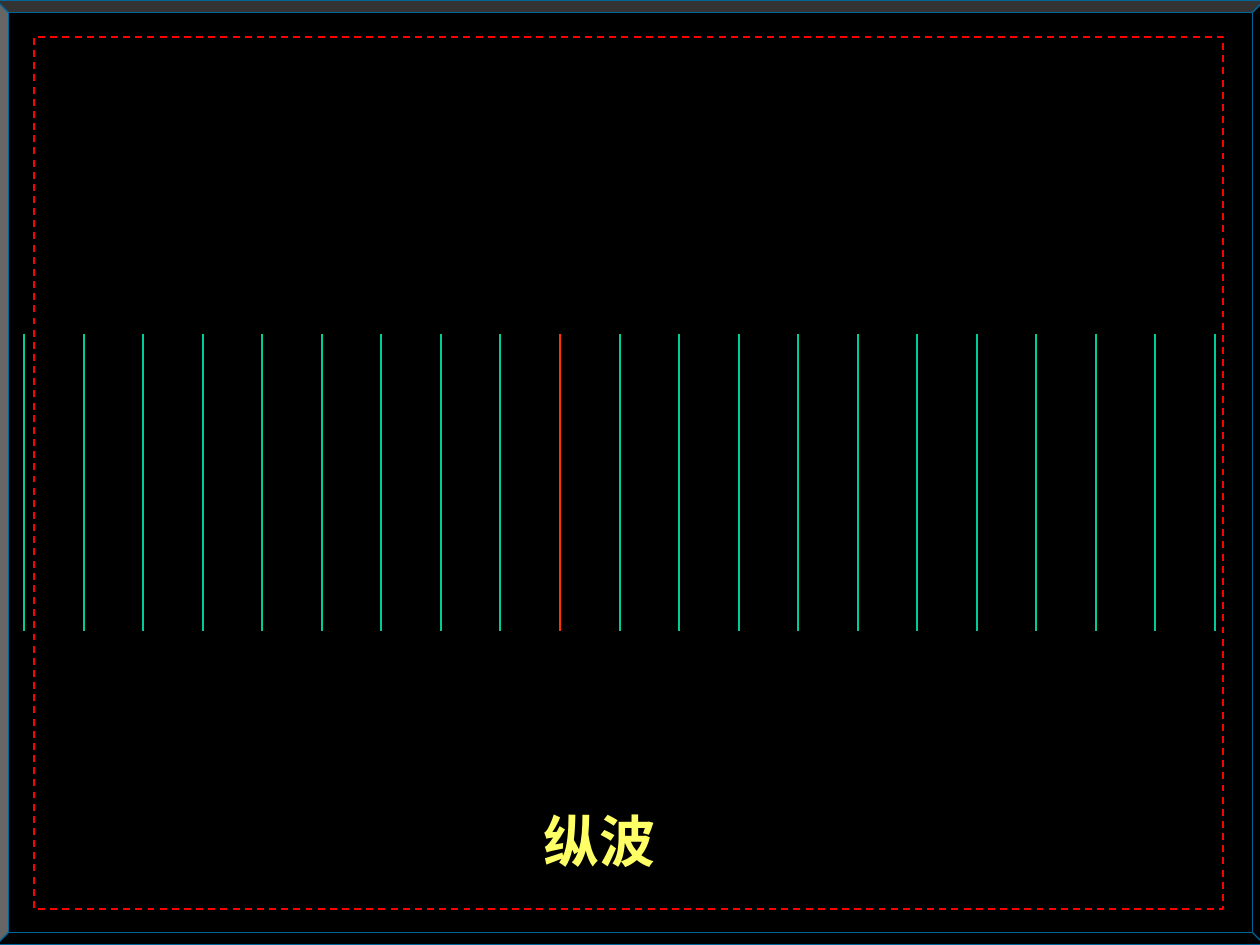
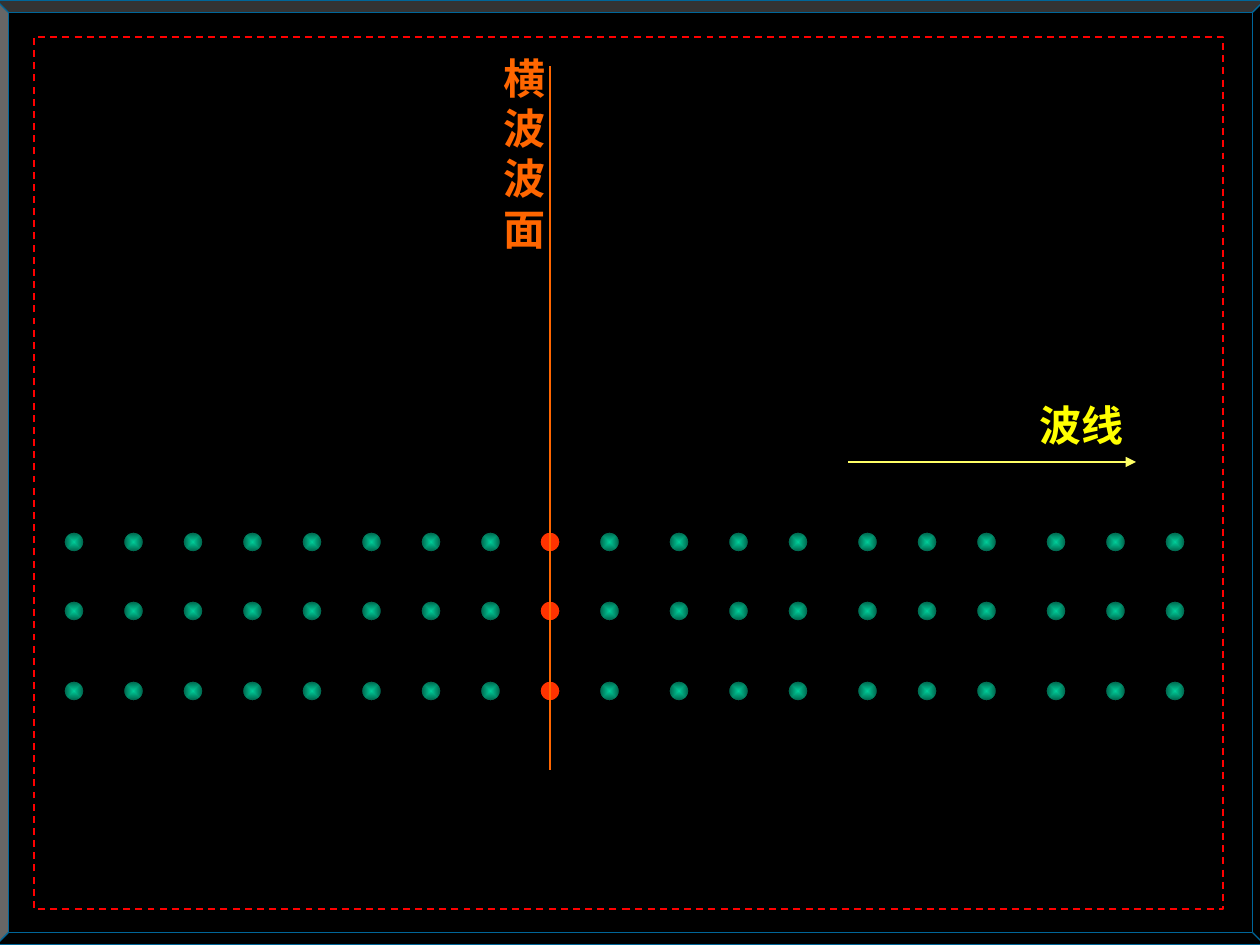
from pptx import Presentation
from pptx.dml.color import RGBColor
from pptx.enum.dml import MSO_LINE
from pptx.enum.shapes import MSO_CONNECTOR, MSO_SHAPE
from pptx.enum.text import MSO_AUTO_SIZE
from pptx.oxml.ns import qn
from pptx.util import Pt
from lxml import etree

BEVEL, RECTANGLE, OVAL = MSO_SHAPE.BEVEL, MSO_SHAPE.RECTANGLE, MSO_SHAPE.OVAL
STRAIGHT = MSO_CONNECTOR.STRAIGHT
DASH = MSO_LINE.DASH
GROW = MSO_AUTO_SIZE.SHAPE_TO_FIT_TEXT

EMU_PER_PX = 914400 / 126
SLIDE_WIDTH, SLIDE_HEIGHT = 1260, 945
FONT = "Arial"
BLACK = "000000"
BEVEL_BLUE = "006699"
FRAME_RED = "FF0000"
GREEN, DARK_GREEN = "00CC99", "005E47"
HIGHLIGHT_RED = "FF3300"
ORANGE = "FF6600"
PALE_YELLOW, YELLOW = "FFFF66", "FFFF00"

WAVE_LINE_COUNT, HIGHLIGHTED_LINE = 21, 9
PARTICLE_COLUMNS, HIGHLIGHTED_COLUMN = 19, 8
PARTICLE_ROWS = (611, 542, 691)
PARTICLE_SIZE = 20
WIDER_GAP_COLUMNS = (10, 13, 16)


def emu(px):
    return round(px * EMU_PER_PX)


def color(hex_string):
    return RGBColor.from_string(hex_string)


def add_shape(slide, kind, left, top, width, height, line_color, line_width=0.75, fill_color=None):
    shape = slide.shapes.add_shape(kind, emu(left), emu(top), emu(width), emu(height))
    shape.shadow.inherit = False
    shape.line.color.rgb = color(line_color)
    shape.line.width = Pt(line_width)
    if fill_color:
        shape.fill.solid()
        shape.fill.fore_color.rgb = color(fill_color)
    else:
        shape.fill.background()
    return shape


def add_line(slide, start, end, line_color, arrow=False):
    connector = slide.shapes.add_connector(STRAIGHT, *map(emu, start + end))
    connector.line.color.rgb = color(line_color)
    connector.line.width = Pt(0.75)
    properties = connector._element.spPr
    if arrow:
        etree.SubElement(properties.find(qn("a:ln")), qn("a:tailEnd"), type="triangle")
    etree.SubElement(properties, qn("a:effectLst"))


def add_label(slide, text, left, top, width, height, size, text_color, wrap=True):
    text_frame = slide.shapes.add_textbox(emu(left), emu(top), emu(width), emu(height)).text_frame
    text_frame.word_wrap = wrap
    text_frame.auto_size = GROW
    text_frame.text = text
    font = text_frame.paragraphs[0].runs[0].font
    font.name, font.size, font.bold = FONT, Pt(size), True
    font.color.rgb = color(text_color)


def fill_from_center(shape, inner_color, outer_color):
    """Shade the shape from its center outwards."""
    shape.fill.gradient()
    for stop, stop_color in zip(shape.fill.gradient_stops, (inner_color, outer_color)):
        stop.color.rgb = color(stop_color)
    gradient = shape._element.spPr.find(qn("a:gradFill"))
    gradient.remove(gradient.find(qn("a:lin")))
    shading = etree.SubElement(gradient, qn("a:path"), path="rect")
    etree.SubElement(shading, qn("a:fillToRect"), l="50000", t="50000", r="50000", b="50000")


def add_particle(slide, center_x, center_y, highlighted):
    left, top = center_x - PARTICLE_SIZE / 2, center_y - PARTICLE_SIZE / 2
    particle = add_shape(slide, OVAL, left, top, PARTICLE_SIZE, PARTICLE_SIZE, BLACK,
                         fill_color=HIGHLIGHT_RED)
    if not highlighted:
        fill_from_center(particle, GREEN, DARK_GREEN)


def add_framed_slide(presentation):
    slide = presentation.slides.add_slide(presentation.slide_layouts[6])
    bevel = add_shape(slide, BEVEL, -4, 0, 1269, SLIDE_HEIGHT, BEVEL_BLUE, fill_color=BLACK)
    bevel.adjustments[0] = 0.013
    frame = add_shape(slide, RECTANGLE, 34, 37, 1189, 872, FRAME_RED, line_width=1)
    frame.line.dash_style = DASH
    return slide


def add_longitudinal_wave(presentation):
    slide = add_framed_slide(presentation)
    first, last = 24, 1215
    for index in range(WAVE_LINE_COUNT):
        x = round(first + index * (last - first) / (WAVE_LINE_COUNT - 1))
        line_color = HIGHLIGHT_RED if index == HIGHLIGHTED_LINE else GREEN
        add_line(slide, (x, 334), (x, 631), line_color)
    add_label(slide, "纵波", 531, 800, 189, 81, 32, PALE_YELLOW)


def add_transverse_wave(presentation):
    slide = add_framed_slide(presentation)
    for center_y in PARTICLE_ROWS:
        for column in range(PARTICLE_COLUMNS):
            wider_gaps = sum(column >= start for start in WIDER_GAP_COLUMNS)
            center_x = 74 + 59.5 * column + 10 * wider_gaps
            add_particle(slide, center_x, center_y, column == HIGHLIGHTED_COLUMN)
    add_label(slide, "横波波面", 491, 46, 72, 214, 24, ORANGE)
    add_line(slide, (550, 770), (550, 66), ORANGE)
    add_line(slide, (848, 462), (1136, 462), PALE_YELLOW, arrow=True)
    add_label(slide, "波线", 1027, 393, 114, 63, 24, YELLOW, wrap=False)


def main():
    presentation = Presentation()
    presentation.slide_width = emu(SLIDE_WIDTH)
    presentation.slide_height = emu(SLIDE_HEIGHT)
    background = presentation.slide_master.background.fill
    background.solid()
    background.fore_color.rgb = color(BLACK)
    add_longitudinal_wave(presentation)
    add_transverse_wave(presentation)
    presentation.save("out.pptx")


if __name__ == "__main__":
    main()
